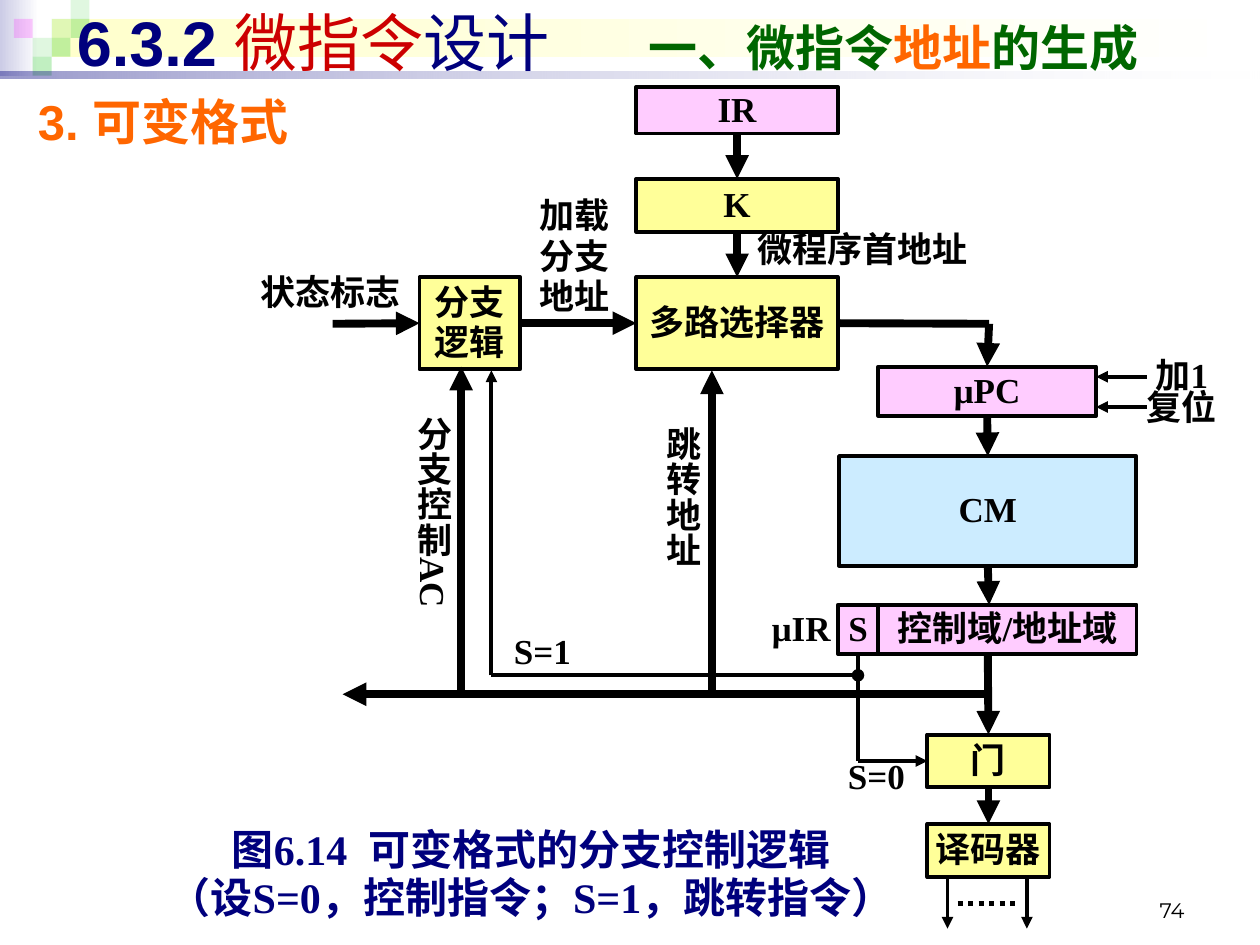
from collections import namedtuple

from lxml import etree
from pptx import Presentation
from pptx.dml.color import RGBColor
from pptx.enum.dml import MSO_LINE
from pptx.enum.shapes import MSO_CONNECTOR, MSO_SHAPE
from pptx.enum.text import MSO_ANCHOR, MSO_AUTO_SIZE, PP_ALIGN
from pptx.oxml.ns import qn
from pptx.util import Inches, Pt

STRAIGHT, DOTTED = MSO_CONNECTOR.STRAIGHT, MSO_LINE.ROUND_DOT
RECTANGLE, OVAL = MSO_SHAPE.RECTANGLE, MSO_SHAPE.OVAL
LEFT, CENTER, RIGHT = PP_ALIGN.LEFT, PP_ALIGN.CENTER, PP_ALIGN.RIGHT
MIDDLE, BOTTOM = MSO_ANCHOR.MIDDLE, MSO_ANCHOR.BOTTOM
NO_AUTOFIT = MSO_AUTO_SIZE.NONE
TOP_SIDE, LEFT_SIDE, BOTTOM_SIDE, RIGHT_SIDE = range(4)

BLACK, WHITE = RGBColor(0, 0, 0), RGBColor(255, 255, 255)
NAVY, RED = RGBColor(0, 0, 0x7D), RGBColor(0xCC, 0, 0)
DARK_GREEN, ORANGE = RGBColor(0, 0x66, 0), RGBColor(0xFF, 0x66, 0)
YELLOW, PINK = RGBColor(0xFF, 0xFF, 0x99), RGBColor(0xFF, 0xCC, 0xFF)
SKY, CREAM = RGBColor(0xCC, 0xEC, 0xFF), RGBColor(0xFF, 0xFF, 0xCC)
LAVENDER, GREEN = RGBColor(0xCC, 0xCC, 0xE6), RGBColor(0x33, 0xCC, 0x33)
MAGENTA = RGBColor(0xFF, 0, 0xFF)

BUS, WIRE = 4.5, 2.25
DIAGRAM_FONT = {"name": "Times New Roman", "size": Pt(20), "bold": True}
CAPTION_FONT = DIAGRAM_FONT | {"size": Pt(24)}
NUMBER_FONT = {"name": "Montserrat", "size": Pt(12)}
HEADING_FONT = {"name": "Arial", "size": Pt(28), "bold": True}

Box = namedtuple("Box", "left top width height")


def within(region, x, y, width, height):
    """Return the box at an offset inside a region."""
    return Box(region.left + x, region.top + y, width, height)


def to_emu(lengths):
    """Convert lengths in inches."""
    return [Inches(length) for length in lengths]


def apply_format(target, values):
    """Set each attribute named in a dict of format values."""
    for name, value in values.items():
        setattr(target, name, value)


def write(shape, text, font=DIAGRAM_FONT, color=BLACK, align=CENTER,
          anchor=MIDDLE, margin=0, spacing=0.96, wrap=False, vertical=False):
    """Fill a shape with one formatted paragraph."""
    frame = shape.text_frame
    apply_format(frame, {
        "margin_left": Inches(margin), "margin_right": Inches(margin),
        "margin_top": 0, "margin_bottom": 0,
        "vertical_anchor": anchor, "word_wrap": wrap})
    if vertical:
        frame._txBody.bodyPr.set("vert", "eaVert")
    paragraph = frame.paragraphs[0]
    paragraph.text = text
    apply_format(paragraph, {"alignment": align, "line_spacing": spacing})
    for run in paragraph.runs:
        apply_format(run.font, font)
        run.font.color.rgb = color


def label(slide, box, text, **style):
    """Add a text box."""
    write(slide.shapes.add_textbox(*to_emu(box)), text, **style)


def plain_shape(slide, box, kind=RECTANGLE):
    """Add a shape without shadow or outline."""
    shape = slide.shapes.add_shape(kind, *to_emu(box))
    shape.shadow.inherit = False
    shape.line.fill.background()
    return shape


def solid(shape, color, opacity=100):
    """Give a shape a solid fill of a given opacity."""
    shape.fill.solid()
    shape.fill.fore_color.rgb = color
    if opacity < 100:
        set_opacity(shape, 0, opacity)


def set_opacity(shape, index, opacity):
    """Set the opacity of one colour in a shape's fill."""
    color = list(shape._element.spPr.iter(qn("a:srgbClr")))[index]
    etree.SubElement(color, qn("a:alpha")).set("val", str(opacity * 1000))


def gradient(slide, box, start, opacities=()):
    """Add a band that fades from a colour to white."""
    band = plain_shape(slide, box)
    band.fill.gradient()
    band.fill.gradient_angle = 0
    for stop, color in zip(band.fill.gradient_stops, (start, WHITE)):
        stop.color.rgb = color
    for index, opacity in enumerate(opacities):
        set_opacity(band, index, opacity)


def block(slide, box, text, fill, **style):
    """Add an outlined block of the diagram."""
    shape = plain_shape(slide, box)
    solid(shape, fill)
    shape.line.color.rgb = BLACK
    shape.line.width = Pt(WIRE)
    write(shape, text, **style)
    return shape


def connect(slide, region, start, end, width=BUS, arrow=True, source=None, target=None):
    """Draw a line between region offsets, joined to blocks where given."""
    ends = [region.left + start[0], region.top + start[1],
            region.left + end[0], region.top + end[1]]
    line = slide.shapes.add_connector(STRAIGHT, *to_emu(ends))
    if source:
        line.begin_connect(*source)
    if target:
        line.end_connect(*target)
    line.line.color.rgb = BLACK
    line.line.width = Pt(width)
    if arrow:
        etree.SubElement(line.line._get_or_add_ln(), qn("a:tailEnd")).set("type", "triangle")
    etree.SubElement(line._element.spPr, qn("a:effectLst"))
    return line


def link(slide, region, source, target):
    """Join two blocks with a bus arrow."""
    return connect(slide, region, (0, 0), (0, 0), source=source, target=target)


def draw_header(slide, region):
    """Draw the decorated band behind the title."""
    gradient(slide, within(region, 0, 0, 0.31, 0.6), LAVENDER)
    gradient(slide, within(region, 0.41, 0.15, 9.55, 0.3), CREAM)
    side = 0.15
    for column, row, color, opacity in (
            (2, 1, GREEN, 15), (3, 0, GREEN, 15), (3, 1, GREEN, 30), (1, 2, GREEN, 15),
            (0, 1, MAGENTA, 20), (2, 2, GREEN, 30), (1, 3, GREEN, 30)):
        square = within(region, 0.11 + column * side, row * side, side, side)
        solid(plain_shape(slide, square), color, opacity)
    gradient(slide, within(region, 0, 0.57, 10, 0.05), NAVY, (40, 10))


def place(slide, placeholder, box, anchor):
    """Position a placeholder in front of the header."""
    apply_format(placeholder, dict(zip(box._fields, to_emu(box))))
    apply_format(placeholder.text_frame, {
        "vertical_anchor": anchor, "word_wrap": True, "auto_size": NO_AUTOFIT})
    slide.shapes._spTree.append(placeholder._element)
    paragraph = placeholder.text_frame.paragraphs[0]
    apply_format(paragraph, {"alignment": LEFT, "space_before": Pt(0)})
    return paragraph


def fill_title(slide, box):
    """Write the title, with its second part at a tab stop."""
    title = place(slide, slide.shapes.title, box, MIDDLE)
    tabs = etree.SubElement(title._p.get_or_add_pPr(), qn("a:tabLst"))
    etree.SubElement(tabs, qn("a:tab"), pos=str(Inches(4.54)), algn="l")
    for text, size, color, bold in (
            ("6.3.2 ", 36, NAVY, True), ("微指令", 36, RED, False),
            ("设计\t", 36, NAVY, False), ("一、微指令", 28, DARK_GREEN, True),
            ("地址", 28, ORANGE, True), ("的生成", 28, DARK_GREEN, True)):
        run = title.add_run()
        run.text = text
        apply_format(run.font, {"name": "Arial", "size": Pt(size), "bold": bold})
        run.font.color.rgb = color


def fill_heading(slide, box):
    """Write the section heading."""
    heading = place(slide, slide.placeholders[1], box, MSO_ANCHOR.TOP)
    properties = heading._p.get_or_add_pPr()
    properties.set("marL", str(Inches(0.29)))
    properties.set("indent", str(Inches(-0.29)))
    etree.SubElement(properties, qn("a:buNone"))
    run = heading.add_run()
    run.text = "3. 可变格式"
    apply_format(run.font, HEADING_FONT)
    run.font.color.rgb = ORANGE


def draw_selector(slide, region):
    """Draw the address sources and return the multiplexer."""
    register = block(slide, within(region, 3.04, 0, 1.6, 0.37), "IR", PINK)
    mapper = block(slide, within(region, 3.04, 0.73, 1.6, 0.42), "K", YELLOW)
    branch = block(slide, within(region, 1.32, 1.51, 0.8, 0.73), "分支逻辑", YELLOW,
                   margin=0.1, wrap=True)
    selector = block(slide, within(region, 3.04, 1.51, 1.6, 0.73), "多路选择器", YELLOW)
    link(slide, region, (register, BOTTOM_SIDE), (mapper, TOP_SIDE))
    link(slide, region, (mapper, BOTTOM_SIDE), (selector, TOP_SIDE))
    link(slide, region, (branch, RIGHT_SIDE), (selector, LEFT_SIDE))
    connect(slide, region, (0.63, 1.88), (1.32, 1.88), target=(branch, LEFT_SIDE))
    label(slide, within(region, 0, 1.44, 1.23, 0.4), "状态标志")
    label(slide, within(region, 2.26, 0.87, 0.58, 0.96), "加载\n分支\n地址")
    label(slide, within(region, 4, 1.12, 2.07, 0.35), "微程序首地址", align=LEFT)
    return selector


def draw_control_memory(slide, region, selector):
    """Draw the counter, memory and instruction register; return the S bit."""
    counter = block(slide, within(region, 0.94, 0.34, 1.73, 0.39), "μPC", PINK)
    memory = block(slide, within(region, 0.63, 1.05, 2.36, 0.87), "CM", SKY)
    block(slide, within(region, 0.94, 2.23, 2.05, 0.39), "控制域/地址域", PINK)
    flag = block(slide, within(region, 0.62, 2.23, 0.32, 0.39), "S", PINK)
    label(slide, within(region, 0, 2.23, 0.66, 0.39), "μIR")
    connect(slide, region, (1.82, 0), (0.62, 0), arrow=False, target=(selector, RIGHT_SIDE))
    connect(slide, region, (1.82, 0), (1.82, 0.34), target=(counter, TOP_SIDE))
    link(slide, region, (counter, BOTTOM_SIDE), (memory, TOP_SIDE))
    connect(slide, region, (1.82, 1.92), (1.82, 2.23), source=(memory, BOTTOM_SIDE))
    for text, text_x, text_y, arrow_y in (("加1", 3.14, 0.24, 0.42), ("复位", 3.07, 0.5, 0.66)):
        connect(slide, region, (3.07, arrow_y), (2.67, arrow_y), WIRE)
        label(slide, within(region, text_x, text_y, 0.71, 0.35), text, align=LEFT)
    return flag


def draw_feedback(slide, region):
    """Draw the paths that return to the branch logic and multiplexer."""
    connect(slide, region, (5.12, 2.6), (0, 2.6))
    connect(slide, region, (2.93, 2.6), (2.93, 0.03))
    connect(slide, region, (0.94, 2.6), (0.94, 0))
    connect(slide, region, (4.09, 2.45), (1.18, 2.45), WIRE, arrow=False)
    connect(slide, region, (1.18, 2.45), (1.18, 0.03), WIRE)
    solid(plain_shape(slide, within(region, 4.04, 2.4, 0.1, 0.1), OVAL), BLACK)
    label(slide, within(region, 1.13, 2.13, 0.91, 0.28), "S=1")
    for x, y, height, text in ((2.52, 0.48, 1.37, "跳转地址"), (0.55, 0.4, 1.81, "分支控制AC")):
        label(slide, within(region, x, y, 0.32, height), text, wrap=True, vertical=True)


def draw_decoding(slide, region, flag):
    """Draw the gate, decoder and their outputs."""
    gate = block(slide, within(region, 0.86, 0.63, 0.97, 0.42), "门", YELLOW)
    decoder = block(slide, within(region, 0.86, 1.34, 0.97, 0.42), "译码器", YELLOW)
    connect(slide, region, (1.34, 0), (1.34, 0.63), target=(gate, TOP_SIDE))
    link(slide, region, (gate, BOTTOM_SIDE), (decoder, TOP_SIDE))
    connect(slide, region, (0.31, 0), (0.31, 0.84), WIRE, arrow=False,
            source=(flag, BOTTOM_SIDE))
    connect(slide, region, (0.31, 0.84), (0.86, 0.84), WIRE, target=(gate, LEFT_SIDE))
    label(slide, within(region, 0, 0.83, 0.91, 0.28), "S=0")
    for x in (1.02, 1.65):
        connect(slide, region, (x, 1.76), (x, 2.17), WIRE)
    dots = connect(slide, region, (1.1, 1.97), (1.6, 1.97), 3, arrow=False)
    dots.line.dash_style = DOTTED


def draw_caption(slide, box):
    """Write the figure caption."""
    caption = plain_shape(slide, box)
    solid(caption, WHITE)
    write(caption, "图6.14  可变格式的分支控制逻辑\n（设S=0，控制指令；S=1，跳转指令）",
          font=CAPTION_FONT, color=NAVY)


def main():
    """Build and save the slide."""
    deck = Presentation()
    deck.slide_width, deck.slide_height = Inches(10), Inches(7.5)
    slide = deck.slides.add_slide(deck.slide_layouts[1])
    draw_header(slide, Box(0, 0, 10, 0.62))
    fill_title(slide, Box(0.51, -0.03, 9.37, 0.71))
    fill_heading(slide, Box(0.2, 0.68, 9.61, 0.63))
    draw_caption(slide, Box(1.3, 6.51, 5.83, 0.87))
    selector = draw_selector(slide, Box(2.01, 0.69, 6.07, 2.24))
    flag = draw_control_memory(slide, Box(6.03, 2.57, 3.85, 2.62), selector)
    draw_feedback(slide, Box(2.72, 2.91, 5.12, 2.6))
    draw_decoding(slide, Box(6.5, 5.2, 1.83, 2.17), flag)
    label(slide, Box(7.17, 6.83, 2.33, 0.5), "74", font=NUMBER_FONT, align=RIGHT,
          anchor=BOTTOM, margin=0.1, wrap=True)
    deck.save("out.pptx")


if __name__ == "__main__":
    main()
